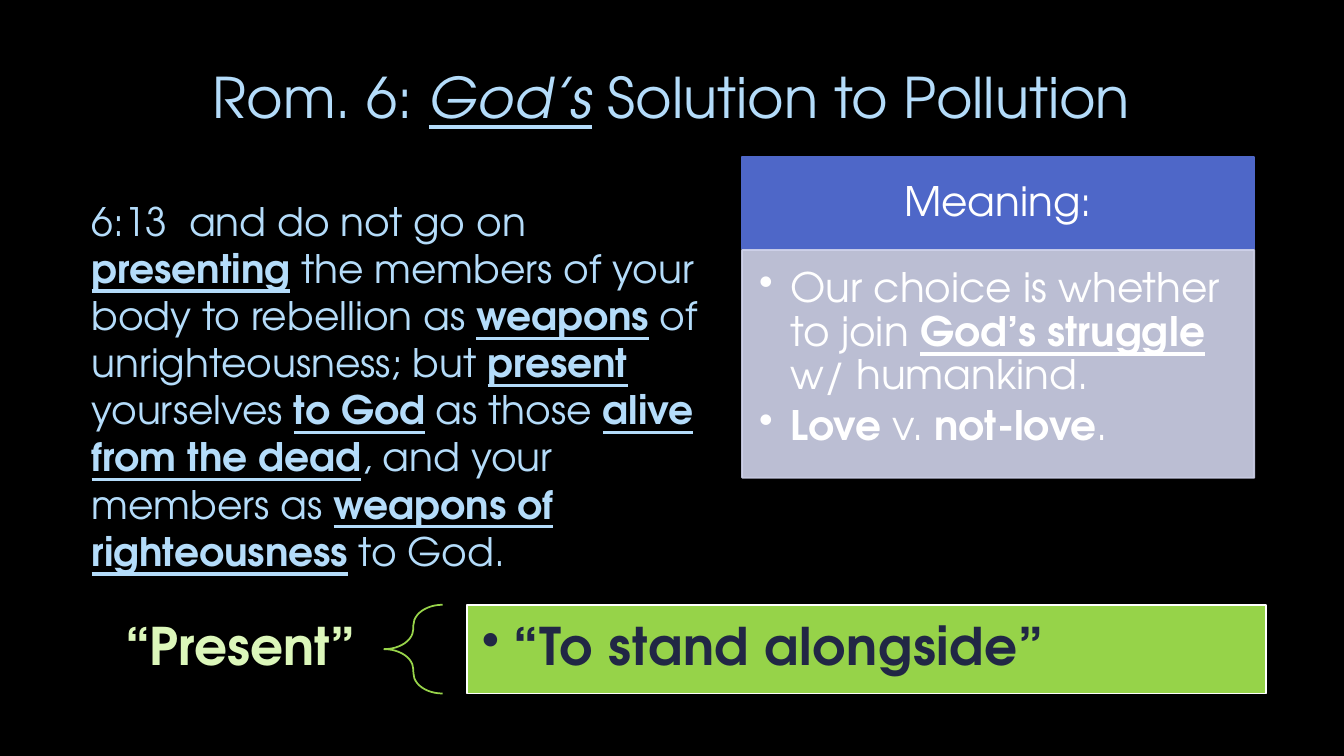
import pptx
import pptx.util
import pptx.dml.color
import pptx.enum.shapes
import pptx.enum.text
from lxml import etree
from pptx.oxml.ns import qn

Inches = pptx.util.Inches
Pt = pptx.util.Pt
Shape = pptx.enum.shapes.MSO_SHAPE
Align = pptx.enum.text.PP_ALIGN
Anchor = pptx.enum.text.MSO_ANCHOR

theme = {
    "font": "TeX Gyre Adventor",
    "background": "000000", "verse": "B4DCFA", "white": "FFFFFF",
    "header": "4E67C8", "panel": "D0D3EB", "term": "DCF7BA",
    "brace": "98D44A", "definition": "A7EA52", "dark": "212745",
    "title_size": 40, "verse_size": 28, "meaning_size": 29, "term_size": 37,
}


def color(name):
    return pptx.dml.color.RGBColor.from_string(theme[name])


def write(shape, paragraphs, size, ink, align=Align.LEFT, anchor=Anchor.TOP,
          insets=(0.1, 0.05, 0.1, 0.05), bullet=False, indent=0, spacing=None, after=0):
    frame = shape.text_frame
    frame.word_wrap = True
    frame.vertical_anchor = anchor
    frame.margin_left, frame.margin_top, frame.margin_right, frame.margin_bottom = map(Inches, insets)
    for index, spans in enumerate(paragraphs):
        para = frame.add_paragraph() if index else frame.paragraphs[0]
        para.alignment = align
        properties = para._p.get_or_add_pPr()
        properties.set("marL", str(Inches(indent)))
        properties.set("indent", str(-Inches(indent) if bullet else 0))
        if bullet:
            etree.SubElement(properties, qn("a:buChar")).set("char", "•")
        if spacing:
            para.line_spacing = spacing
        para.space_after = Pt(after)
        for text, style in spans:
            span = para.add_run()
            span.text = text
            span.font.name = theme["font"]
            span.font.size = Pt(theme[size])
            span.font.color.rgb = color(ink)
            span.font.bold = "b" in style
            span.font.italic = "i" in style
            span.font.underline = "u" in style


deck = pptx.Presentation()
deck.slide_width = Inches(13.33)
deck.slide_height = Inches(7.5)
page = deck.slides.add_slide(deck.slide_layouts[6])
page.background.fill.solid()
page.background.fill.fore_color.rgb = color("background")

boxes = {}
for name, place in {
    "title": (1, 0.42, 11.32, 1.06),
    "verse": (0.77, 1.91, 6.26, 4.44),
    "term": (0.9, 6.04, 2.91, 0.8),
}.items():
    boxes[name] = page.shapes.add_textbox(*map(Inches, place))

for name, kind, place, fill, line, opacity, line_opacity in (
    ("header", Shape.RECTANGLE, (7.36, 1.56, 5.08, 0.91), "header", "header", 100, 100),
    ("panel", Shape.RECTANGLE, (7.36, 2.48, 5.08, 2.26), "panel", "panel", 90, 90),
    ("brace", Shape.LEFT_BRACE, (3.81, 6, 0.58, 0.88), None, "brace", 100, 100),
    ("definition", Shape.RECTANGLE, (4.63, 6, 7.93, 0.88), "definition", "white", 90, 100),
):
    shape = page.shapes.add_shape(kind, *map(Inches, place))
    shape.shadow.inherit = False
    shape.line.color.rgb = color(line)
    shape.line.width = Pt(1.25)
    if fill:
        shape.fill.solid()
        shape.fill.fore_color.rgb = color(fill)
    else:
        shape.fill.background()
    properties = shape._element.spPr
    for route, percent in (("a:solidFill/a:srgbClr", opacity), ("a:ln/a:solidFill/a:srgbClr", line_opacity)):
        if percent < 100:
            tint = properties.find("/".join(qn(step) for step in route.split("/")))
            etree.SubElement(tint, qn("a:alpha")).set("val", str(percent * 1000))
    boxes[name] = shape
boxes["brace"].adjustments[0] = 0.35

write(boxes["title"], [[("Rom. 6: ", ""), ("God’s", "iu"), (" Solution to Pollution", "")]],
      "title_size", "verse", Align.CENTER, Anchor.MIDDLE)

write(boxes["verse"], [[
    ("6:13  and do not go on ", ""), ("presenting", "bu"),
    (" the members of your body to rebellion as ", ""), ("weapons", "bu"),
    (" of unrighteousness; but ", ""), ("present", "bu"),
    (" yourselves ", ""), ("to God", "bu"),
    (" as those ", ""), ("alive from the dead", "bu"),
    (", and your members as ", ""), ("weapons of righteousness", "bu"),
    (" to God.", ""),
]], "verse_size", "verse", indent=0.04, after=6)

write(boxes["header"], [[("Meaning:", "")]], "meaning_size", "white",
      Align.CENTER, Anchor.MIDDLE, (0.23, 0.13, 0.23, 0.13), spacing=0.9)

write(boxes["panel"], [
    [("Our choice is whether to join ", ""), ("God’s struggle", "bu"), (" w/ humankind.", "")],
    [("Love", "b"), (" v. ", ""), ("not-love", "b"), (".", "")],
], "meaning_size", "white", insets=(0.17, 0.17, 0.23, 0.25),
    bullet=True, indent=0.31, spacing=0.9, after=5)

write(boxes["term"], [[("“Present”", "b")]], "term_size", "term",
      Align.RIGHT, Anchor.MIDDLE, (0.29, 0.1, 0.29, 0.1), spacing=0.9)

write(boxes["definition"], [[("“To stand alongside”", "b")]], "term_size", "dark",
      anchor=Anchor.MIDDLE, insets=(0.15,) * 4, bullet=True, indent=0.31, spacing=0.9)
for span in boxes["definition"].text_frame.paragraphs[0].runs:
    span._r.get_or_add_rPr().set("spc", "50")

deck.save("out.pptx")
